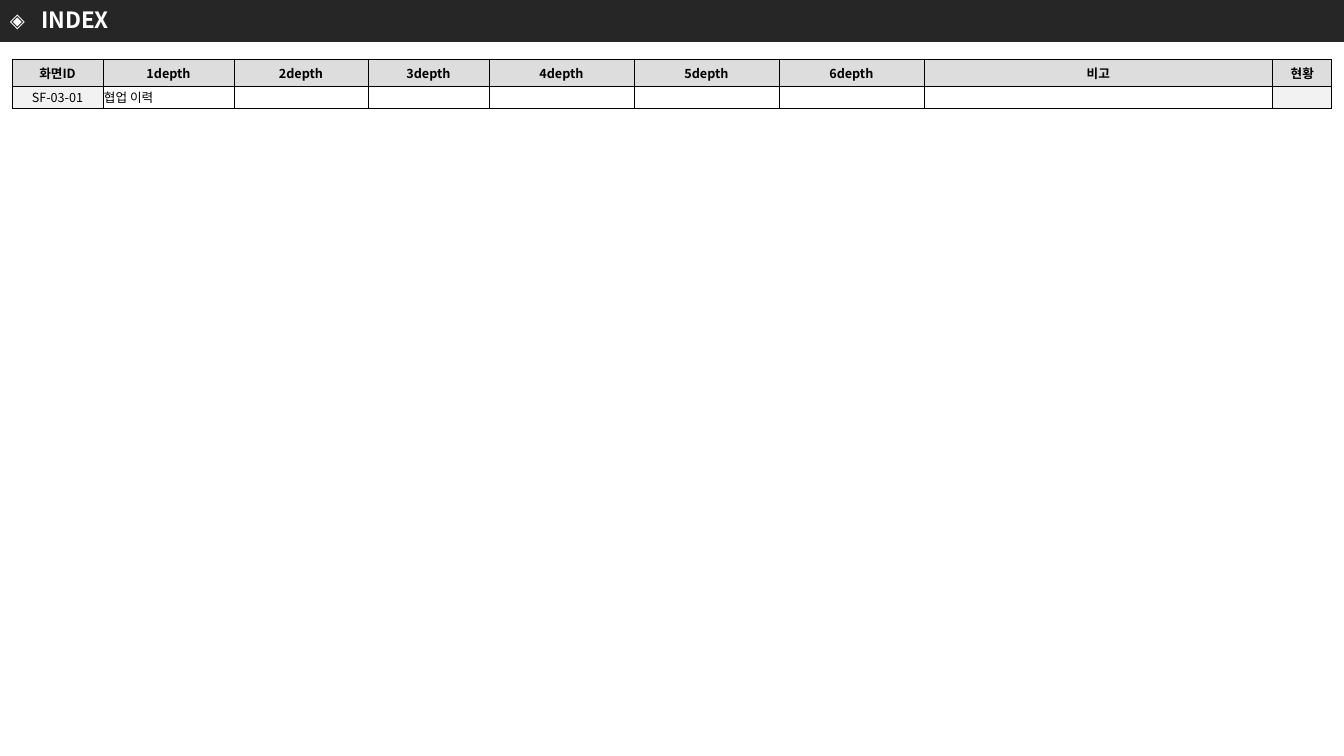
"""Build the INDEX slide: a dark title bar above a table of screens."""
from lxml import etree
from pptx import Presentation
from pptx.dml.color import RGBColor
from pptx.enum.shapes import MSO_SHAPE
from pptx.enum.text import MSO_ANCHOR, PP_ALIGN
from pptx.oxml.ns import qn
from pptx.util import Emu, Pt

RECTANGLE = MSO_SHAPE.RECTANGLE
MIDDLE = MSO_ANCHOR.MIDDLE
LEFT, CENTER = PP_ALIGN.LEFT, PP_ALIGN.CENTER
TITLE_ONLY = 5
FONT = "Noto Sans CJK KR"
EMU_PER_PX = 914400 / 100.8

HEADERS = ["화면ID", "1depth", "2depth", "3depth", "4depth", "5depth", "6depth", "비고", "현황"]
SCREEN = ["SF-03-01", "협업 이력"] + [""] * 7
COLUMN_WIDTHS = [91, 131, 134, 121, 145, 145, 145, 349, 59]
ROW_HEIGHTS = [27, 22]


def px(length):
    return Emu(round(length * EMU_PER_PX))


def color(value):
    return RGBColor.from_string(value)


def fill(target, value):
    target.fill.solid()
    target.fill.fore_color.rgb = color(value)


def write(frame, text, size, text_color, bold=False, align=LEFT):
    paragraph = frame.paragraphs[0]
    paragraph.alignment = align
    font = paragraph.font
    font.size, font.bold, font.name = Pt(size), bold, FONT
    font.color.rgb = color(text_color)
    defaults = paragraph._p.pPr.find(qn("a:defRPr"))
    etree.SubElement(defaults, qn("a:ea"), typeface=FONT)
    if text:
        paragraph.add_run().text = text
    else:
        etree.SubElement(paragraph._p, qn("a:endParaRPr"), sz=str(size * 100))
    return paragraph


def add_bar(slide):
    bar = slide.shapes.add_shape(RECTANGLE, 0, 0, px(1344), px(42))
    bar.shadow.inherit = False
    fill(bar, "262626")
    bar.line.fill.background()


def add_marker(slide):
    marker = slide.shapes.add_textbox(0, px(3), px(42), px(34))
    marker.text_frame.word_wrap = True
    write(marker.text_frame, "◈", 14, "FFFFFF")


def place_title(slide):
    title = slide.shapes.title
    title.left, title.top, title.width, title.height = px(31), px(5), px(1159), px(33)
    title.text_frame.vertical_anchor = MIDDLE
    write(title.text_frame, "INDEX", 16, "FFFFFF", bold=True).line_spacing = 0.9
    slide.shapes._spTree.append(title._element)


def add_borders(cell):
    properties = cell._tc.get_or_add_tcPr()
    for position, side in enumerate(("a:lnL", "a:lnR", "a:lnT", "a:lnB")):
        border = etree.Element(qn(side), w=str(Pt(0.5)))
        line_fill = etree.SubElement(border, qn("a:solidFill"))
        etree.SubElement(line_fill, qn("a:srgbClr"), val="000000")
        properties.insert(position, border)


def fill_cell(cell, text, background, bold, align):
    cell.margin_left = cell.margin_right = cell.margin_top = px(1)
    cell.margin_bottom = 0
    cell.vertical_anchor = MIDDLE
    fill(cell, background)
    add_borders(cell)
    write(cell.text_frame, text, 9, "000000", bold, align)


def add_index_table(slide):
    table = slide.shapes.add_table(
        len(ROW_HEIGHTS), len(COLUMN_WIDTHS), px(12), px(59),
        px(sum(COLUMN_WIDTHS)), px(sum(ROW_HEIGHTS))).table
    for column, width in zip(table.columns, COLUMN_WIDTHS):
        column.width = px(width)
    for row, height in zip(table.rows, ROW_HEIGHTS):
        row.height = px(height)
    last = len(HEADERS) - 1
    for index, (header, value) in enumerate(zip(HEADERS, SCREEN)):
        at_edge = index in (0, last)
        fill_cell(table.cell(0, index), header, "DDDDDD", True, CENTER)
        fill_cell(table.cell(1, index), value, "F2F2F2" if at_edge else "FFFFFF",
                  False, CENTER if at_edge else LEFT)


def main():
    deck = Presentation()
    deck.slide_width, deck.slide_height = px(1344), px(756)
    slide = deck.slides.add_slide(deck.slide_layouts[TITLE_ONLY])
    add_bar(slide)
    add_marker(slide)
    place_title(slide)
    add_index_table(slide)
    deck.save("out.pptx")


if __name__ == "__main__":
    main()
